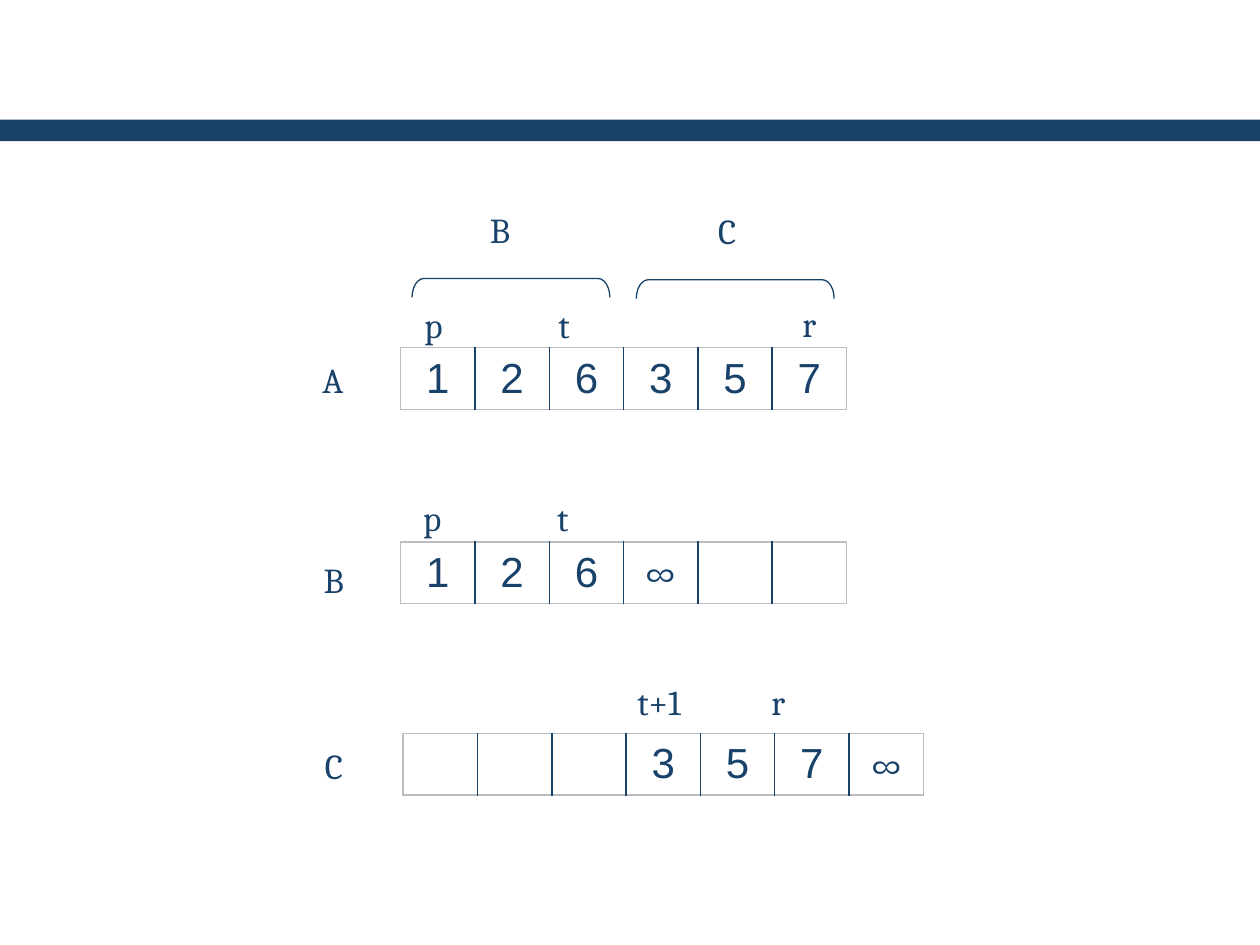
"""Build the slide that splits array A into B and C for merging."""
from lxml import etree
from pptx import Presentation
from pptx import util as u
from pptx.dml.color import RGBColor
from pptx.enum import shapes, text
from pptx.oxml.ns import qn

NAVY = RGBColor(0x19, 0x42, 0x6B)
GREY = RGBColor(0xBB, 0xBC, 0xC4)
WHITE = RGBColor(0xFF, 0xFF, 0xFF)

SLIDE_WIDTH, SLIDE_HEIGHT = 10, 7.5
CELL_WIDTH, CELL_HEIGHT = 0.59, 0.49
INDENT, TAB = 0.44, 1.68

ARRAYS = [
    (3.18, 2.76, ["1", "2", "6", "3", "5", "7"]),
    (3.18, 4.30, ["1", "2", "6", "∞", "", ""]),
    (3.20, 5.82, ["", "", "", "3", "5", "7", "∞"]),
]
INDEX_LABELS = [
    ("A", 2.02, 2.76, 0.92),
    ("p\tt", 2.83, 2.33, 2.14),
    ("r", 5.83, 2.32, 0.92),
    ("p\tt", 2.82, 3.86, 2.14),
    ("t+1\tr", 4.52, 5.32, 2.14),
]
ARRAY_LABELS = [
    ("B", 3.79, 1.57),
    ("C", 5.60, 1.58),
    ("B", 2.47, 4.35),
    ("C", 2.48, 5.83),
]
BRACKETS = [(3.98, 1.50), (5.76, 1.51)]


def inches(*lengths):
    return [u.Inches(length) for length in lengths]


def set_font(font, name, size):
    for attribute, value in {"name": name, "size": u.Pt(size)}.items():
        setattr(font, attribute, value)
    font.color.rgb = NAVY


def add_label(slide, wording, left, top, width, height, indent=0):
    frame = slide.shapes.add_textbox(*inches(left, top, width, height)).text_frame
    frame.word_wrap = True
    label = frame.paragraphs[0]
    label.text = wording
    label.line_spacing = 1.1
    properties = label._p.get_or_add_pPr()
    properties.set("marL", str(u.Inches(indent)))
    if "\t" in wording:
        tabs = etree.SubElement(properties, qn("a:tabLst"))
        etree.SubElement(tabs, qn("a:tab"), pos=str(u.Inches(TAB)), algn="l")
    set_font(label.runs[0].font, "Cambria", 20)


def set_borders(cell, colours):
    properties = cell._tc.get_or_add_tcPr()
    for position, (side, colour) in enumerate(colours.items()):
        line = etree.Element(qn(f"a:{side}"), w=str(u.Pt(1)))
        fill = etree.SubElement(line, qn("a:solidFill"))
        etree.SubElement(fill, qn("a:srgbClr"), val=str(colour))
        properties.insert(position, line)


def add_array(slide, left, top, values):
    count = len(values)
    table = slide.shapes.add_table(
        1, count, *inches(left, top, count * CELL_WIDTH, CELL_HEIGHT)).table
    table.first_row = table.horz_banding = False
    for column, value in enumerate(values):
        table.columns[column].width = u.Inches(CELL_WIDTH)
        cell = table.cell(0, column)
        cell.fill.solid()
        cell.fill.fore_color.rgb = WHITE
        cell.vertical_anchor = text.MSO_ANCHOR.MIDDLE
        set_borders(cell, {
            "lnL": NAVY if column else GREY,
            "lnR": NAVY if column < count - 1 else GREY,
            "lnT": GREY,
            "lnB": GREY,
        })
        number = cell.text_frame.paragraphs[0]
        number.text = value
        number.alignment = text.PP_ALIGN.CENTER
        for run in number.runs:
            set_font(run.font, "Karla" if value == "∞" else "Arial", 24)


def add_bracket(slide, left, top):
    bracket = slide.shapes.add_shape(
        shapes.MSO_SHAPE.LEFT_BRACKET, *inches(left, top, 0.15, 1.57))
    bracket.rotation = 90
    bracket.adjustments[0] = 0.63
    bracket.shadow.inherit = False
    bracket.fill.background()
    bracket.line.color.rgb = NAVY
    bracket.line.width = u.Pt(0.75)


def main():
    deck = Presentation()
    deck.slide_width, deck.slide_height = inches(SLIDE_WIDTH, SLIDE_HEIGHT)
    slide = deck.slides.add_slide(deck.slide_layouts[6])
    band = slide.shapes.add_shape(
        shapes.MSO_SHAPE.RECTANGLE, *inches(0, 0.95, SLIDE_WIDTH, 0.17))
    band.shadow.inherit = False
    band.fill.solid()
    band.fill.fore_color.rgb = NAVY
    band.line.fill.background()
    for array in ARRAYS:
        add_array(slide, *array)
    for label in INDEX_LABELS:
        add_label(slide, *label, 0.42, INDENT)
    for label in ARRAY_LABELS:
        add_label(slide, *label, 0.39, 0.5)
    for bracket in BRACKETS:
        add_bracket(slide, *bracket)
    deck.save("out.pptx")


if __name__ == "__main__":
    main()
